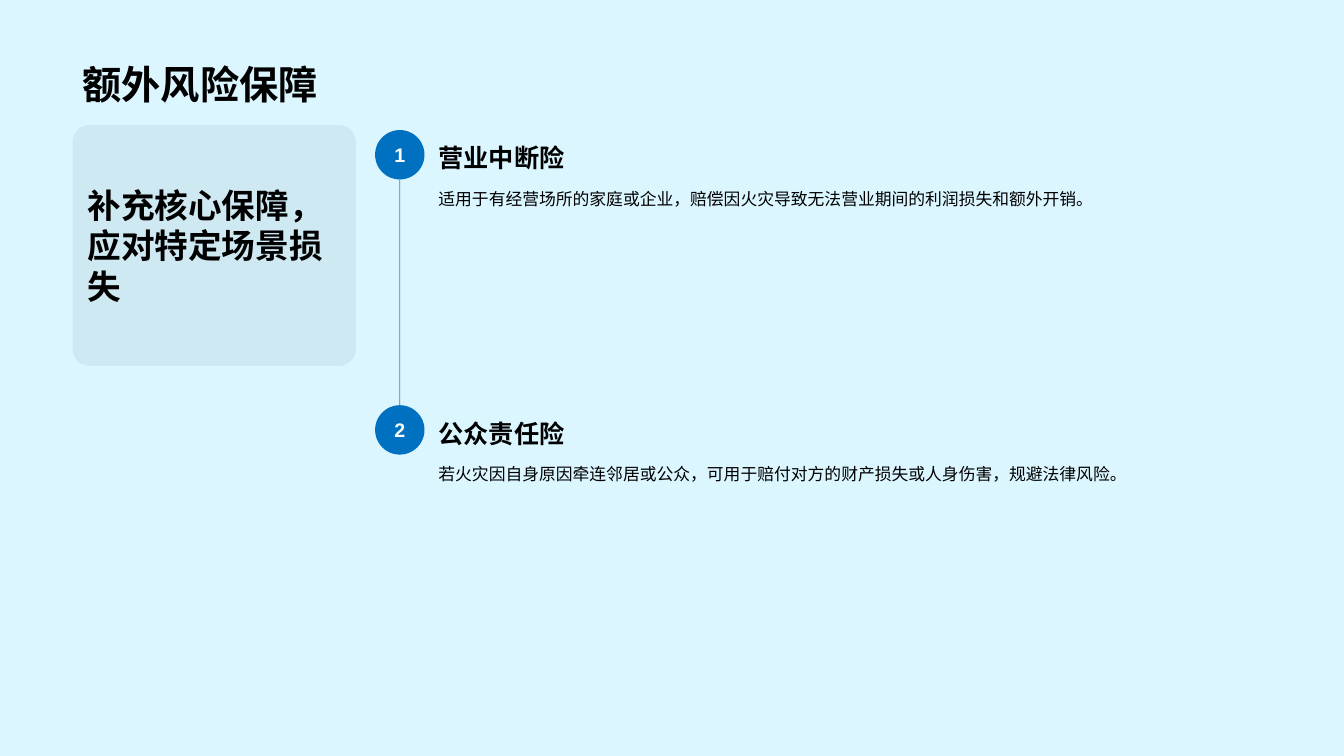
from dataclasses import dataclass
from itertools import pairwise

import lxml.etree
import pptx
import pptx.dml.color
import pptx.enum.lang
import pptx.enum.shapes
import pptx.enum.text
import pptx.oxml.ns
import pptx.util

Inches = pptx.util.Inches
Anchor = pptx.enum.text.MSO_ANCHOR
Align = pptx.enum.text.PP_ALIGN
ShapeKind = pptx.enum.shapes.MSO_SHAPE


@dataclass(frozen=True)
class Theme:
    font: str = "Arial"
    background: str = "DBF6FF"
    ink: str = "000000"
    accent: str = "0071C0"
    white: str = "FFFFFF"
    title_size: int = 28
    summary_size: int = 24
    heading_size: int = 18
    number_size: int = 14
    body_size: int = 12


@dataclass(frozen=True)
class Box:
    left: float
    top: float
    width: float
    height: float

    def lengths(self) -> tuple:
        return tuple(Inches(n) for n in (self.left, self.top, self.width, self.height))


@dataclass(frozen=True)
class Coverage:
    heading: str
    description: str


THEME = Theme()
TITLE_BOX = Box(0.72, 0.14, 11.88, 0.98)
SUMMARY_BOX = Box(0.72, 1.24, 2.81, 2.39)
FIRST_TOP, STEP = 1.29, 2.73
BADGE_LEFT, BADGE_SIZE = 3.72, 0.49
TEXT_LEFT, TEXT_WIDTH, DESCRIPTION_HEIGHT = 4.25, 8.34, 2.2
COVERAGES = [
    Coverage("营业中断险", "适用于有经营场所的家庭或企业，赔偿因火灾导致无法营业期间的利润损失和额外开销。"),
    Coverage("公众责任险", "若火灾因自身原因牵连邻居或公众，可用于赔付对方的财产损失或人身伤害，规避法律风险。"),
]


def rgb(color: str) -> pptx.dml.color.RGBColor:
    return pptx.dml.color.RGBColor.from_string(color)


def set_opacity(shape, percent: int) -> None:
    """Make every solid colour in the shape's own properties translucent."""
    for color in shape._element.spPr.iter(pptx.oxml.ns.qn("a:srgbClr")):
        alpha = lxml.etree.SubElement(color, pptx.oxml.ns.qn("a:alpha"))
        alpha.set("val", str(percent * 1000))


def write_text(shape, text: str, size: int, bold: bool = True, color: str = THEME.ink,
               anchor=Anchor.MIDDLE, alignment=Align.LEFT, line_spacing: float = 1.0,
               wrap: bool = True) -> None:
    frame = shape.text_frame
    paragraph = frame.paragraphs[0]
    run = paragraph.add_run()
    run.text = text
    formats = [
        (frame, {"word_wrap": wrap, "vertical_anchor": anchor,
                 "auto_size": pptx.enum.text.MSO_AUTO_SIZE.NONE}),
        (paragraph, {"alignment": alignment, "line_spacing": line_spacing}),
        (run.font, {"name": THEME.font, "size": pptx.util.Pt(size), "bold": bold,
                    "language_id": pptx.enum.lang.MSO_LANGUAGE_ID.SIMPLIFIED_CHINESE}),
    ]
    for target, values in formats:
        for name, value in values.items():
            setattr(target, name, value)
    run.font.color.rgb = rgb(color)


def add_filled_shape(slide, kind: ShapeKind, box: Box, color: str):
    shape = slide.shapes.add_shape(kind, *box.lengths())
    shape.shadow.inherit = False
    shape.fill.solid()
    shape.fill.fore_color.rgb = rgb(color)
    shape.line.fill.background()
    return shape


def add_title(slide, text: str) -> None:
    title = slide.shapes.title
    title.left, title.top, title.width, title.height = TITLE_BOX.lengths()
    write_text(title, text, THEME.title_size, anchor=Anchor.BOTTOM)


def add_summary(slide, text: str) -> None:
    card = add_filled_shape(slide, ShapeKind.ROUNDED_RECTANGLE, SUMMARY_BOX, THEME.ink)
    card.adjustments[0] = 0.07
    set_opacity(card, 5)
    write_text(card, text, THEME.summary_size)


def add_timeline_link(slide, top: float, next_top: float) -> None:
    x = Inches(BADGE_LEFT + BADGE_SIZE / 2)
    link = slide.shapes.add_connector(
        pptx.enum.shapes.MSO_CONNECTOR.STRAIGHT,
        x, Inches(top + BADGE_SIZE), x, Inches(next_top + BADGE_SIZE))
    link.line.color.rgb = rgb(THEME.ink)
    link.line.width = pptx.util.Pt(0.5)
    set_opacity(link, 50)
    lxml.etree.SubElement(link._element.spPr, pptx.oxml.ns.qn("a:effectLst"))


def add_coverage(slide, number: int, top: float, coverage: Coverage) -> None:
    description = slide.shapes.add_textbox(
        *Box(TEXT_LEFT, top + BADGE_SIZE, TEXT_WIDTH, DESCRIPTION_HEIGHT).lengths())
    write_text(description, coverage.description, THEME.body_size, bold=False,
               anchor=Anchor.TOP, line_spacing=1.2)
    heading = slide.shapes.add_textbox(
        *Box(TEXT_LEFT, top, TEXT_WIDTH, BADGE_SIZE).lengths())
    write_text(heading, coverage.heading, THEME.heading_size, line_spacing=1.2)
    badge = add_filled_shape(slide, ShapeKind.OVAL,
                             Box(BADGE_LEFT, top, BADGE_SIZE, BADGE_SIZE), THEME.accent)
    write_text(badge, str(number), THEME.number_size, color=THEME.white,
               alignment=Align.CENTER, wrap=False)


def main() -> None:
    presentation = pptx.Presentation()
    presentation.slide_width, presentation.slide_height = Inches(13.33), Inches(7.5)
    title_only = presentation.slide_layouts.get_by_name("Title Only")
    slide = presentation.slides.add_slide(title_only)
    slide.background.fill.solid()
    slide.background.fill.fore_color.rgb = rgb(THEME.background)

    add_title(slide, "额外风险保障")
    add_summary(slide, "补充核心保障，应对特定场景损失")
    tops = [FIRST_TOP + STEP * index for index in range(len(COVERAGES))]
    for top, next_top in pairwise(tops):
        add_timeline_link(slide, top, next_top)
    for number, (top, coverage) in enumerate(zip(tops, COVERAGES), start=1):
        add_coverage(slide, number, top, coverage)
    presentation.save("out.pptx")


if __name__ == "__main__":
    main()
